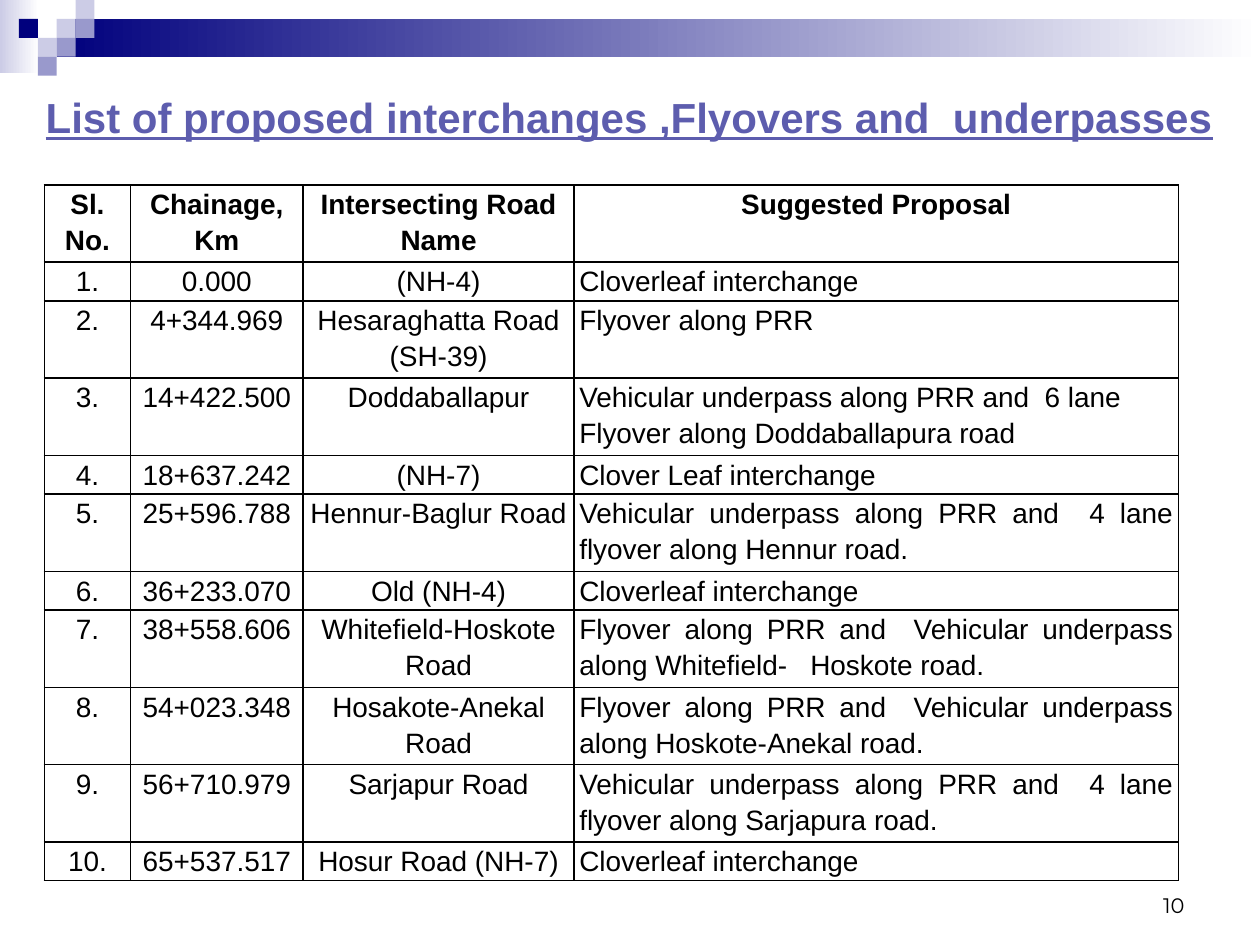
from lxml import etree
from pptx import Presentation
from pptx.dml.color import RGBColor
from pptx.enum import shapes, text
from pptx.oxml import ns
from pptx.util import Pt

BLACK = RGBColor(0x00, 0x00, 0x00)
WHITE = RGBColor(0xFF, 0xFF, 0xFF)
NAVY = RGBColor(0x00, 0x00, 0x7D)
LILAC = RGBColor(0xCC, 0xCC, 0xE6)
LAVENDER = RGBColor(0x99, 0x99, 0xCC)
VIOLET = RGBColor(0x5D, 0x5D, 0xAE)

LEFT, CENTER, RIGHT, JUSTIFY = (
    text.PP_ALIGN.LEFT, text.PP_ALIGN.CENTER, text.PP_ALIGN.RIGHT, text.PP_ALIGN.JUSTIFY)

TILE = 10.8
MOSAIC = [(1, 1, LILAC), (2, 0, LILAC), (2, 1, LAVENDER), (0, 2, LILAC),
          (-1, 1, NAVY), (1, 2, LAVENDER), (0, 3, LAVENDER)]

COLUMN_WIDTHS = [49.2, 98.6, 154.9, 345.3]
SINGLE, DOUBLE = 22.1, 44.2
HEADINGS = ["Sl. No.", "Chainage, Km", "Intersecting Road Name", "Suggested Proposal"]
CROSSINGS = [
    (SINGLE, "0.000", "(NH-4)", "Cloverleaf interchange"),
    (DOUBLE, "4+344.969", "Hesaraghatta Road (SH-39)", "Flyover along PRR"),
    (DOUBLE, "14+422.500", "Doddaballapur",
     "Vehicular underpass along PRR and  6 lane Flyover along Doddaballapura road"),
    (SINGLE, "18+637.242", "(NH-7)", "Clover Leaf interchange"),
    (DOUBLE, "25+596.788", "Hennur-Baglur Road",
     "Vehicular underpass along PRR and  4 lane flyover along Hennur road."),
    (SINGLE, "36+233.070", "Old (NH-4)", "Cloverleaf interchange"),
    (DOUBLE, "38+558.606", "Whitefield-Hoskote Road",
     "Flyover along PRR and  Vehicular underpass along Whitefield-   Hoskote road."),
    (DOUBLE, "54+023.348", "Hosakote-Anekal Road",
     "Flyover along PRR and  Vehicular underpass along Hoskote-Anekal road."),
    (DOUBLE, "56+710.979", "Sarjapur Road",
     "Vehicular underpass along PRR and  4 lane flyover along Sarjapura road."),
    (SINGLE, "65+537.517", "Hosur Road (NH-7)", "Cloverleaf interchange"),
]
LEFT_ALIGNED_ROW = 3


def add_span(para, words, size, color=BLACK, name="Arial", bold=False, underline=False):
    """Add one formatted run to a paragraph."""
    span = para.add_run()
    span.text = words
    font = span.font
    font.name, font.size, font.bold, font.underline = name, Pt(size), bold, underline
    font.color.rgb = color


def add_block(page, left, top, width, height, color, fade_to=None):
    """Add a borderless rectangle, plain or fading from left to right."""
    block = page.shapes.add_shape(
        shapes.MSO_SHAPE.RECTANGLE, Pt(left), Pt(top), Pt(width), Pt(height))
    block.shadow.inherit = False
    block.line.fill.background()
    if fade_to is None:
        block.fill.solid()
        block.fill.fore_color.rgb = color
    else:
        block.fill.gradient()
        block.fill.gradient_angle = 0
        for stop, shade in zip(block.fill.gradient_stops, (color, fade_to)):
            stop.color.rgb = shade


def add_banner(page, left, top, width):
    """Draw the fading bands and the mosaic of tiles."""
    add_block(page, left, top, 22.3, 41.8, LILAC, WHITE)
    add_block(page, left + 3 * TILE, top + TILE, width - 3 * TILE, 2 * TILE, NAVY, WHITE)
    for column, row, color in MOSAIC:
        add_block(page, left + (column + 2) * TILE, top + row * TILE, TILE, TILE, color)


def add_label(page, left, top, width, height, words, anchor, **style):
    """Add a right-aligned line of text in a box."""
    box = page.shapes.add_textbox(Pt(left), Pt(top), Pt(width), Pt(height))
    frame = box.text_frame
    frame.word_wrap = True
    frame.vertical_anchor = anchor
    para = frame.paragraphs[0]
    para.alignment = RIGHT
    add_span(para, words, **style)


def add_borders(cell):
    """Give a cell thin black lines on all four sides."""
    properties = cell._tc.get_or_add_tcPr()
    for side in ("a:lnL", "a:lnR", "a:lnT", "a:lnB"):
        line = etree.SubElement(properties, ns.qn(side), w=str(Pt(1)))
        fill = etree.SubElement(line, ns.qn("a:solidFill"))
        etree.SubElement(fill, ns.qn("a:srgbClr"), val=str(BLACK))


def fill_cell(cell, words, alignment, bold):
    """Format one table cell and write its text."""
    add_borders(cell)
    cell.fill.background()
    cell.margin_left = cell.margin_right = Pt(3)
    cell.margin_top = cell.margin_bottom = Pt(0)
    para = cell.text_frame.paragraphs[0]
    para.alignment = alignment
    para.line_spacing = 1.15
    para.space_after = Pt(6)
    add_span(para, words, 16, bold=bold)


def add_crossings_table(page, left, top):
    """Build the table of crossings and proposals."""
    rows = [HEADINGS] + [
        [f"{number}.", *entry[1:]] for number, entry in enumerate(CROSSINGS, 1)]
    heights = [DOUBLE] + [entry[0] for entry in CROSSINGS]
    table = page.shapes.add_table(
        len(rows), len(HEADINGS), Pt(left), Pt(top),
        Pt(sum(COLUMN_WIDTHS)), Pt(sum(heights))).table
    table.first_row = table.horz_banding = False
    for column, width in zip(table.columns, COLUMN_WIDTHS):
        column.width = Pt(width)
    for index, (words_in_row, height) in enumerate(zip(rows, heights)):
        table.rows[index].height = Pt(height)
        proposal = LEFT if index == LEFT_ALIGNED_ROW else JUSTIFY
        alignments = [CENTER] * 3 + [proposal if index else CENTER]
        for column, (words, alignment) in enumerate(zip(words_in_row, alignments)):
            fill_cell(table.cell(index, column), words, alignment, index == 0)


def main():
    """Build the slide and save it."""
    deck = Presentation()
    deck.slide_width, deck.slide_height = Pt(720), Pt(540)
    page = deck.slides.add_slide(deck.slide_layouts[6])
    add_banner(page, 0, 0, 720)
    add_label(page, 516, 492, 168, 36, "10", text.MSO_ANCHOR.BOTTOM,
              size=12, name="Montserrat")
    add_crossings_table(page, 25.4, 105.6)
    add_label(page, -20, 49, 720, 36,
              "List of proposed interchanges ,Flyovers and  underpasses",
              text.MSO_ANCHOR.TOP, size=24, color=VIOLET, bold=True, underline=True)
    deck.save("out.pptx")


if __name__ == "__main__":
    main()
